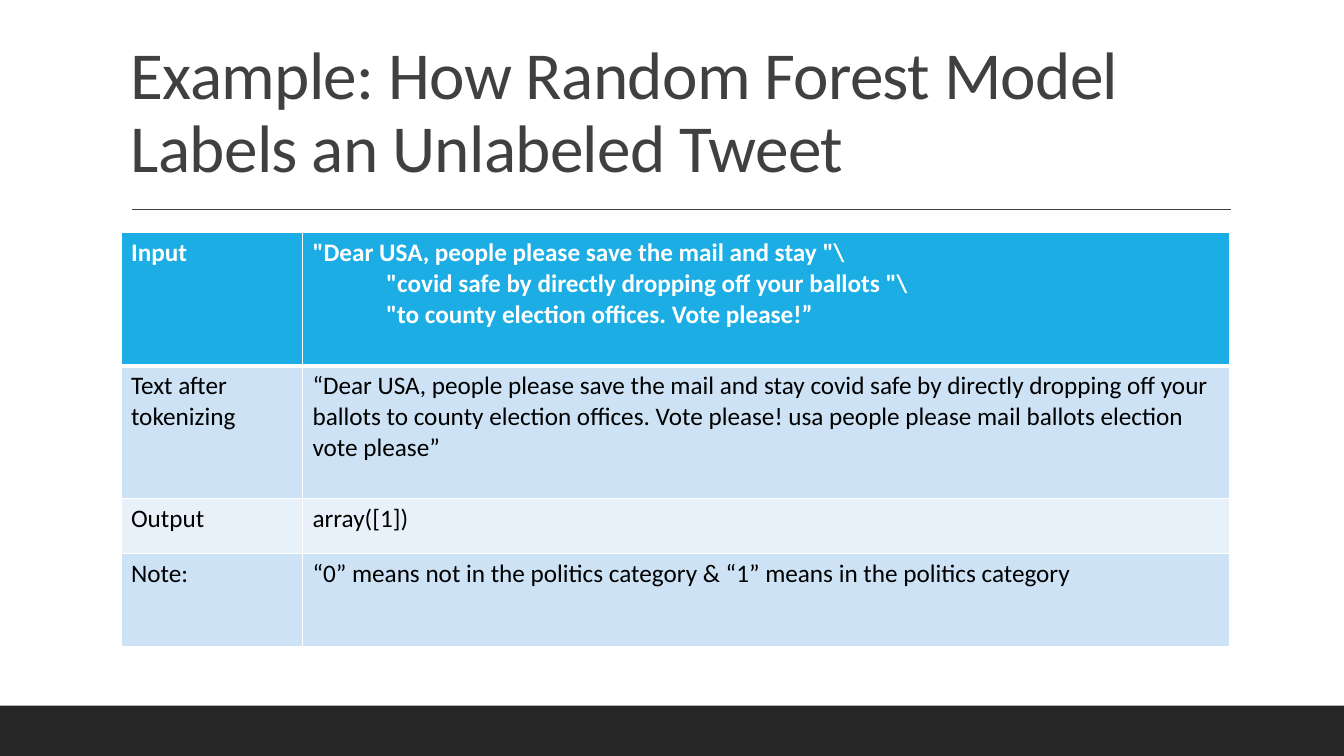
from lxml import etree
from pptx import Presentation
from pptx import util as u
from pptx.dml.color import RGBColor
from pptx.enum import shapes, text
from pptx.oxml.ns import qn

FONT = "Calibri"
WHITE, BLACK, GREY = "FFFFFF", "000000", "404040"
COLUMNS = (1.8, 9.2)
ROWS = (
    (1.32, "1CADE4", ("Input",), (
        '"Dear USA, people please save the mail and stay "\\',
        '"covid safe by directly dropping off your ballots "\\',
        '"to county election offices. Vote please!”')),
    (1.32, "CDE3F5", ("Text after tokenizing",), (
        "“Dear USA, people please save the mail and stay covid safe by directly "
        "dropping off your ballots to county election offices. Vote please! "
        "usa people please mail ballots election vote please”",)),
    (0.54, "E8F1FA", ("Output",), ("array([1])",)),
    (0.93, "CDE3F5", ("Note:",), (
        "“0” means not in the politics category & “1” means in the politics category",)),
)


def rgb(value):
    """Return a colour from a hex string."""
    return RGBColor.from_string(value)


def paint(obj, value):
    """Give a shape, cell or line a solid fill."""
    obj.fill.solid()
    obj.fill.fore_color.rgb = rgb(value)


def add_run(p, content, size, color, bold=False):
    """Add a formatted run to a paragraph."""
    r = p.add_run()
    r.text = content
    for name, value in {"name": FONT, "size": u.Pt(size), "bold": bold}.items():
        setattr(r.font, name, value)
    r.font.color.rgb = rgb(color)
    return r


def add_bar(s):
    """Add the dark band along the bottom edge."""
    sp = s.shapes.add_shape(shapes.MSO_SHAPE.RECTANGLE, u.Inches(0), u.Inches(7),
                            u.Inches(13.33), u.Inches(0.5))
    sp.shadow.inherit = False
    paint(sp, "262626")
    sp.line.fill.background()


def add_rule(s):
    """Add the thin line under the title."""
    sp = s.shapes.add_connector(shapes.MSO_CONNECTOR.STRAIGHT, u.Inches(1.31),
                                u.Inches(2.08), u.Inches(12.21), u.Inches(2.08))
    sp.line.width = u.Pt(1)
    sp.line.color.rgb = rgb(GREY)
    etree.SubElement(sp._element.spPr, qn("a:effectLst"))


def add_title(s, content):
    """Add the bottom-anchored title."""
    sp = s.shapes.add_textbox(u.Inches(1.2), u.Inches(0.31), u.Inches(11), u.Inches(1.59))
    tf = sp.text_frame
    for name, value in {"word_wrap": True, "auto_size": text.MSO_AUTO_SIZE.NONE,
                        "vertical_anchor": text.MSO_ANCHOR.BOTTOM}.items():
        setattr(tf, name, value)
    p = tf.paragraphs[0]
    p.line_spacing = 0.9
    r = add_run(p, content, 48, GREY)
    r.font._element.set("spc", "-50")


def set_borders(cell, widths):
    """Draw white cell borders of the given widths in points."""
    tc_pr = cell._tc.get_or_add_tcPr()
    for i, (side, width) in enumerate(widths.items()):
        ln = etree.Element(qn(f"a:ln{side}"), w=str(u.Pt(width)))
        fill = etree.SubElement(ln, qn("a:solidFill"))
        etree.SubElement(fill, qn("a:srgbClr"), val=WHITE)
        tc_pr.insert(i, ln)


def fill_cell(cell, lines, fill, row):
    """Write the lines of a cell, indenting those after the first."""
    header = row == 0
    paint(cell, fill)
    set_borders(cell, {"L": 1, "R": 1, "T": 3 if row == 1 else 1, "B": 3 if header else 1})
    tf = cell.text_frame
    for i, line in enumerate(lines):
        p = tf.add_paragraph() if i else tf.paragraphs[0]
        if i:
            p._p.get_or_add_pPr().set("marL", str(u.Inches(0.73)))
        add_run(p, line, 18, WHITE if header else BLACK, header)


def add_example_table(s):
    """Add the table that follows one message through the model."""
    frame = s.shapes.add_table(len(ROWS), len(COLUMNS), u.Inches(1.2), u.Inches(2.31),
                               u.Inches(sum(COLUMNS)), u.Inches(sum(r[0] for r in ROWS)))
    table = frame.table
    for column, width in zip(table.columns, COLUMNS):
        column.width = u.Inches(width)
    for i, (height, fill, *cells) in enumerate(ROWS):
        table.rows[i].height = u.Inches(height)
        for j, lines in enumerate(cells):
            fill_cell(table.cell(i, j), lines, fill, i)


def main():
    """Build and save the slide."""
    prs = Presentation()
    prs.slide_width, prs.slide_height = u.Inches(13.33), u.Inches(7.5)
    s = prs.slides.add_slide(prs.slide_layouts[6])
    add_bar(s)
    add_rule(s)
    add_title(s, "Example: How Random Forest Model Labels an Unlabeled Tweet")
    add_example_table(s)
    prs.save("out.pptx")


if __name__ == "__main__":
    main()
